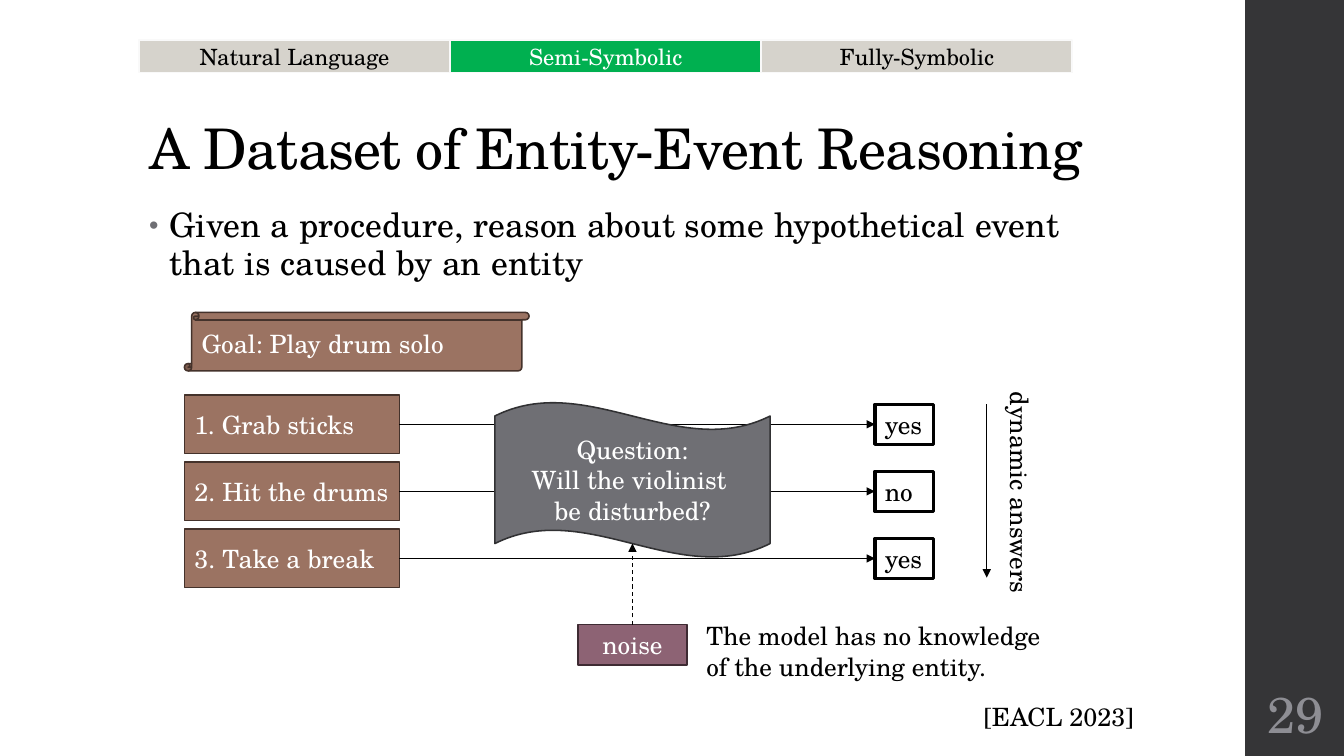
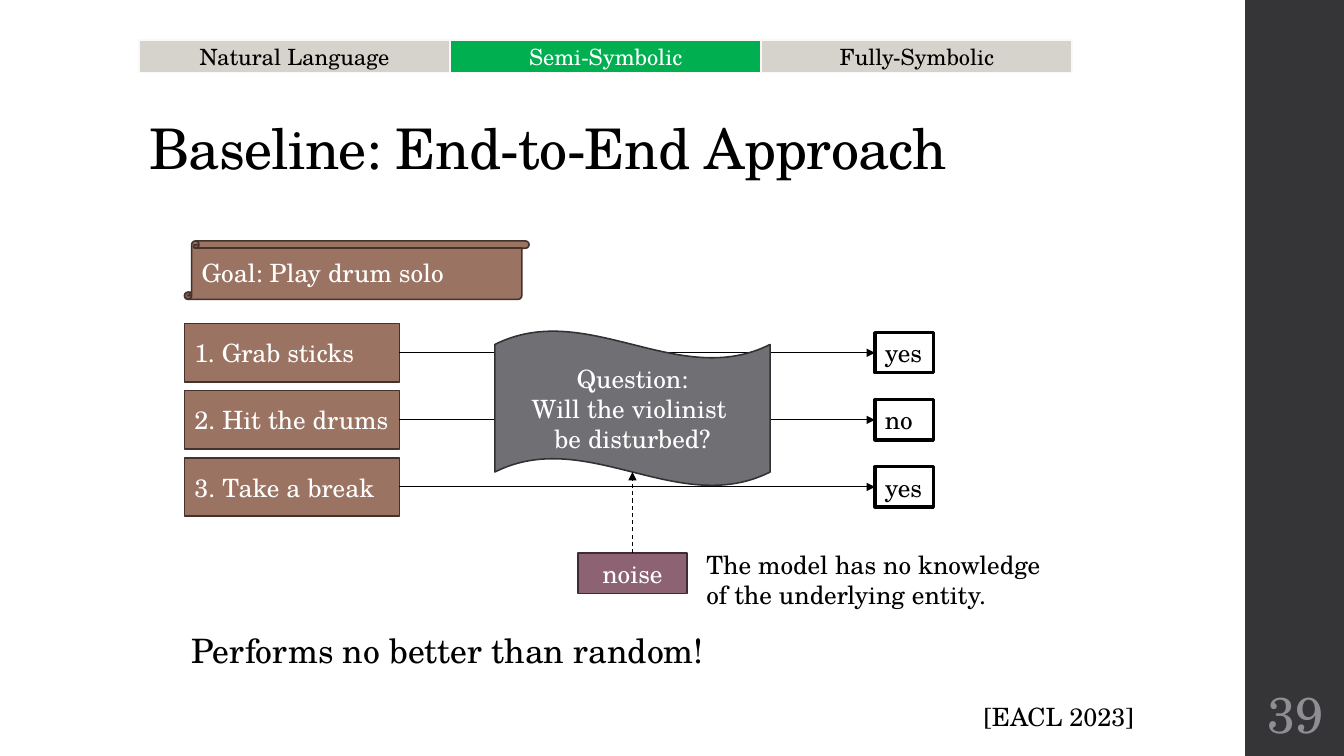
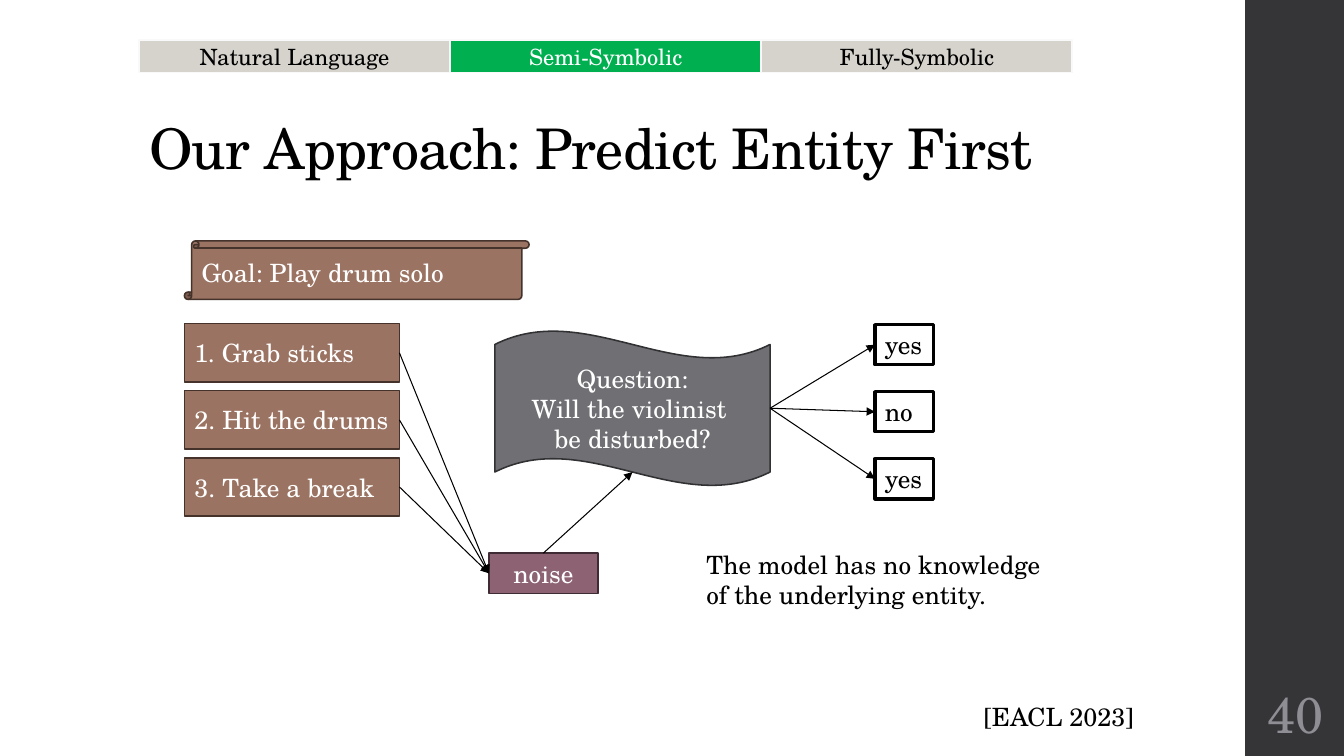
from dataclasses import dataclass

from lxml.etree import SubElement
from pptx import Presentation
from pptx.dml.color import RGBColor
from pptx.enum.dml import MSO_LINE
from pptx.enum.shapes import MSO_CONNECTOR, MSO_SHAPE as SHAPE
from pptx.enum.text import MSO_ANCHOR as ANCHOR, MSO_AUTO_SIZE as FIT, PP_ALIGN as ALIGN
from pptx.oxml.ns import qn
from pptx.util import Inches, Pt


@dataclass(frozen=True)
class Theme:
    font: str = "TeX Gyre Schola"
    black: str = "000000"
    white: str = "FFFFFF"
    side_band: str = "353537"
    page_number: str = "8E8E94"
    tab: str = "D6D3CC"
    active_tab: str = "00B050"
    tab_edge: str = "F9F9F9"
    step: str = "9B7362"
    step_edge: str = "44322B"
    question: str = "6F6F74"
    question_edge: str = "313133"
    noise: str = "8D6374"
    noise_edge: str = "3E2B33"
    title_size: int = 40
    number_size: int = 36
    body_size: int = 24
    label_size: int = 18
    tab_size: int = 16
    thin: float = 0.75
    edge: float = 1.1
    tab_line: float = 1.35
    thick: float = 2.25


theme = Theme()
prs = Presentation()
prs.slide_width, prs.slide_height = Inches(13.33), Inches(7.5)
# The grid has 100 columns and 100 rows on each slide.
COL, ROW = prs.slide_width / 100, prs.slide_height / 100


def put(slide, area, text="", kind=None, holder=None, fill=None, edge=None, weight=theme.edge,
        size=theme.label_size, color=theme.black, align=ALIGN.LEFT, anchor=ANCHOR.TOP,
        wrap=True, insets=(0.1, 0.05, 0.1, 0.05), spacing=None, tracking=None):
    """Fill a placeholder, a preset shape or a text box; area is x, y, width, height in cells."""
    x, y, w, h = area
    box = [round(n) for n in (x * COL, y * ROW, w * COL, h * ROW)]
    if holder:
        shape = holder
        shape.left, shape.top, shape.width, shape.height = box
    elif kind:
        shape = slide.shapes.add_shape(kind, *box)
        shape.shadow.inherit = False
    else:
        shape = slide.shapes.add_textbox(*box)
    if fill:
        shape.fill.solid()
        shape.fill.fore_color.rgb = RGBColor.from_string(fill)
    if edge:
        shape.line.color.rgb = RGBColor.from_string(edge)
        shape.line.width = Pt(weight)
    elif kind:
        shape.line.fill.background()

    frame = shape.text_frame
    frame.text = text
    frame.word_wrap = wrap
    frame.auto_size = FIT.NONE if wrap else FIT.SHAPE_TO_FIT_TEXT
    frame.vertical_anchor = anchor
    frame.margin_left, frame.margin_top, frame.margin_right, frame.margin_bottom = map(Inches, insets)
    paragraph = frame.paragraphs[0]
    paragraph.alignment = align
    paragraph.line_spacing = spacing
    for run in paragraph.runs:
        run.font.name, run.font.size = theme.font, Pt(size)
        run.font.color.rgb = RGBColor.from_string(color)
        if tracking:
            run._r.get_or_add_rPr().set("spc", str(round(tracking * 100)))
    return shape


def arrow(slide, start, end, dash=None):
    """Draw an arrow; each end is a point in cells or a shape with the index of its side."""
    line = slide.shapes.add_connector(MSO_CONNECTOR.STRAIGHT, 0, 0, 0, 0)
    if isinstance(start[0], (int, float)):
        line.begin_x, line.begin_y = round(start[0] * COL), round(start[1] * ROW)
    else:
        line.begin_connect(*start)
    if isinstance(end[0], (int, float)):
        line.end_x, line.end_y = round(end[0] * COL), round(end[1] * ROW)
    else:
        line.end_connect(*end)
    line.line.color.rgb = RGBColor.from_string(theme.black)
    line.line.width = Pt(theme.thin)
    if dash:
        line.line.dash_style = dash
    SubElement(line.line._get_or_add_ln(), qn("a:tailEnd"), type="triangle")
    SubElement(line._element.spPr, qn("a:effectLst"))


TOP, BOTTOM_SIDE, LEFT_SIDE, RIGHT_SIDE = 0, 2, 1, 3
MARGIN, TAB_WIDTH, TAB_TOP = 10.35, 23.15, 5.33
SIDE_X, SIDE_WIDTH = 92.65, 7.5
STEP_X, STEP_WIDTH, STEP_HEIGHT = 13.72, 16, 7.73
ANSWER_X, ANSWER_WIDTH, LABEL_HEIGHT = 65.1, 4.35, 5.33
ROW_START, ROW_PITCH = 14.8, 8.87
WAVE_X, WAVE_Y, WAVE_WIDTH, WAVE_HEIGHT, WAVE_BEND = 36.82, 11.87, 20.48, 20.53, 0.089
NOISE_Y, NOISE_WIDTH = 41.3, 8.1

TABS = ["Natural Language", "Semi-Symbolic", "Fully-Symbolic"]
STEPS = ["1. Grab sticks", "2. Hit the drums", "3. Take a break"]
ANSWERS = ["yes", "no", "yes"]
SLIDES = [
    dict(number="29", title="A Dataset of Entity-Event Reasoning", top=41.33,
         intro="Given a procedure, reason about some hypothetical event that is caused by an entity"),
    dict(number="39", title="Baseline: End-to-End Approach", top=31.87,
         remark="Performs no better than random!"),
    dict(number="40", title="Our Approach: Predict Entity First", top=31.87, entity_first=True),
]
content_layout, title_layout = prs.slide_layouts[1], prs.slide_layouts[5]

for page in SLIDES:
    top, entity_first = page["top"], page.get("entity_first", False)
    slide = prs.slides.add_slide(content_layout if "intro" in page else title_layout)
    if page is SLIDES[0]:
        band = put(slide, (SIDE_X, 0, SIDE_WIDTH, 100), kind=SHAPE.RECTANGLE, fill=theme.side_band)
        prs.slide_master.shapes._spTree.append(band._element)

    put(slide, (MARGIN, TAB_TOP, 79.5, 19.33), page["title"], holder=slide.shapes.title,
        size=theme.title_size, anchor=ANCHOR.BOTTOM, spacing=0.9, tracking=-0.5)
    put(slide, (SIDE_X, 90, SIDE_WIDTH, 8.67), page["number"], size=theme.number_size,
        color=theme.page_number, align=ALIGN.CENTER, anchor=ANCHOR.MIDDLE, insets=(0.05,) * 4)
    put(slide, (72.45, 92.13, 12.9, LABEL_HEIGHT), "[EACL 2023]", wrap=False)
    for i, tab in enumerate(TABS):
        active = tab == "Semi-Symbolic"
        put(slide, (MARGIN + i * TAB_WIDTH, TAB_TOP, TAB_WIDTH, 4.27), tab, kind=SHAPE.RECTANGLE,
            fill=theme.active_tab if active else theme.tab, edge=theme.tab_edge,
            weight=theme.tab_line, size=theme.tab_size,
            color=theme.white if active else theme.black, align=ALIGN.CENTER, anchor=ANCHOR.MIDDLE)

    if "intro" in page:
        intro = put(slide, (MARGIN, 26.67, 70.5, 12.4), page["intro"], holder=slide.placeholders[1],
                    size=theme.body_size, spacing=0.95, tracking=0.1)
        paragraph = intro.text_frame.paragraphs[0]
        paragraph.space_before, paragraph.space_after = Pt(14), Pt(2)
        bullet = paragraph._p.get_or_add_pPr()
        bullet.set("marL", str(Inches(0.2)))
        bullet.set("indent", str(-Inches(0.2)))
        SubElement(SubElement(bullet, qn("a:buClr")), qn("a:srgbClr"), val=theme.question)
        SubElement(bullet, qn("a:buSzPct"), val="80000")
        SubElement(bullet, qn("a:buChar"), char="•")

    brown = dict(fill=theme.step, edge=theme.step_edge, color=theme.white, anchor=ANCHOR.MIDDLE)
    put(slide, (STEP_X, top, 25.65, STEP_HEIGHT), "Goal: Play drum solo",
        kind=SHAPE.VERTICAL_SCROLL, **brown)
    steps, answers = [], []
    for i, (step, answer) in enumerate(zip(STEPS, ANSWERS)):
        middle = top + ROW_START + i * ROW_PITCH
        steps.append(put(slide, (STEP_X, middle - STEP_HEIGHT / 2, STEP_WIDTH, STEP_HEIGHT), step,
                         kind=SHAPE.RECTANGLE, **brown))
        lift = 1.07 if entity_first else 0
        answers.append(put(
            slide, (ANSWER_X, middle - LABEL_HEIGHT / 2 - lift, ANSWER_WIDTH, LABEL_HEIGHT), answer,
            kind=SHAPE.RECTANGLE, fill=theme.white, edge=theme.black, weight=theme.thick,
            anchor=ANCHOR.MIDDLE, insets=(0.1, 0.05, 0, 0.05)))
        if not entity_first:
            arrow(slide, (steps[i], RIGHT_SIDE), (answers[i], LEFT_SIDE))

    question = put(slide, (WAVE_X, top + WAVE_Y, WAVE_WIDTH, WAVE_HEIGHT),
                   "Question:\vWill the violinist \vbe disturbed?", kind=SHAPE.WAVE,
                   fill=theme.question, edge=theme.question_edge, color=theme.white,
                   align=ALIGN.CENTER, anchor=ANCHOR.MIDDLE)
    question.adjustments[0], question.adjustments[1] = WAVE_BEND, 0
    wave_center = WAVE_X + WAVE_WIDTH / 2
    wave_foot = (wave_center, top + WAVE_Y + WAVE_HEIGHT * (1 - WAVE_BEND))

    noise_x = 36.38 if entity_first else wave_center - NOISE_WIDTH / 2
    noise = put(slide, (noise_x, top + NOISE_Y, NOISE_WIDTH, LABEL_HEIGHT), "noise",
                kind=SHAPE.RECTANGLE, fill=theme.noise, edge=theme.noise_edge, color=theme.white,
                align=ALIGN.CENTER, anchor=ANCHOR.MIDDLE)
    arrow(slide, (noise, TOP), wave_foot, dash=None if entity_first else MSO_LINE.DASH)
    put(slide, (51.82, top + 40.13, 26.48, 9.47),
        "The model has no knowledge of the underlying entity.")

    if entity_first:
        for step, answer in zip(steps, answers):
            arrow(slide, (step, RIGHT_SIDE), (noise, LEFT_SIDE))
            arrow(slide, (question, RIGHT_SIDE), (answer, LEFT_SIDE))
    if "remark" in page:
        put(slide, (13.5, 82.67, 40.05, 6.67), page["remark"], size=theme.body_size, wrap=False)
    if "intro" in page:
        arrow(slide, (73.42, top + 12.13), (73.42, top + 35.07))
        dynamic = put(slide, (73.65, top + 9.2, 3.75, 28.4), "dynamic answers", wrap=False)
        dynamic.text_frame._txBody.bodyPr.set("vert", "eaVert")

prs.save("out.pptx")
